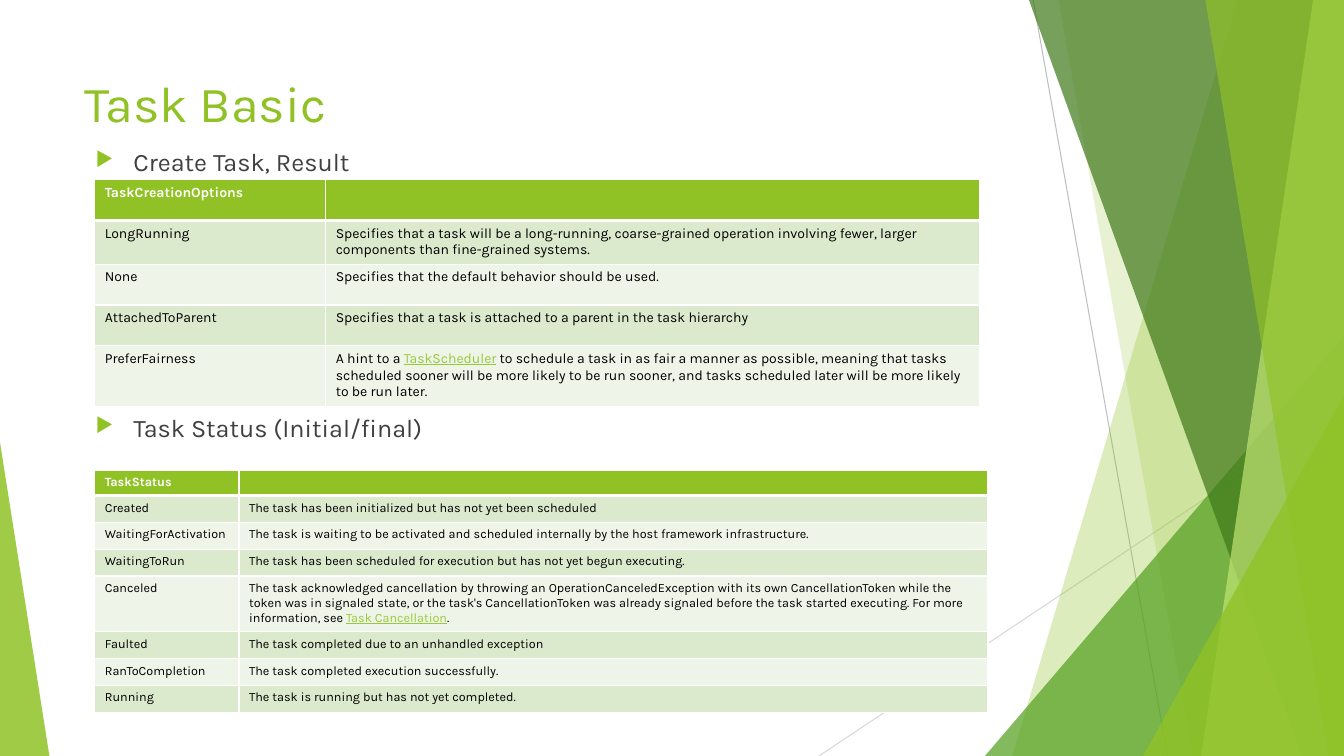
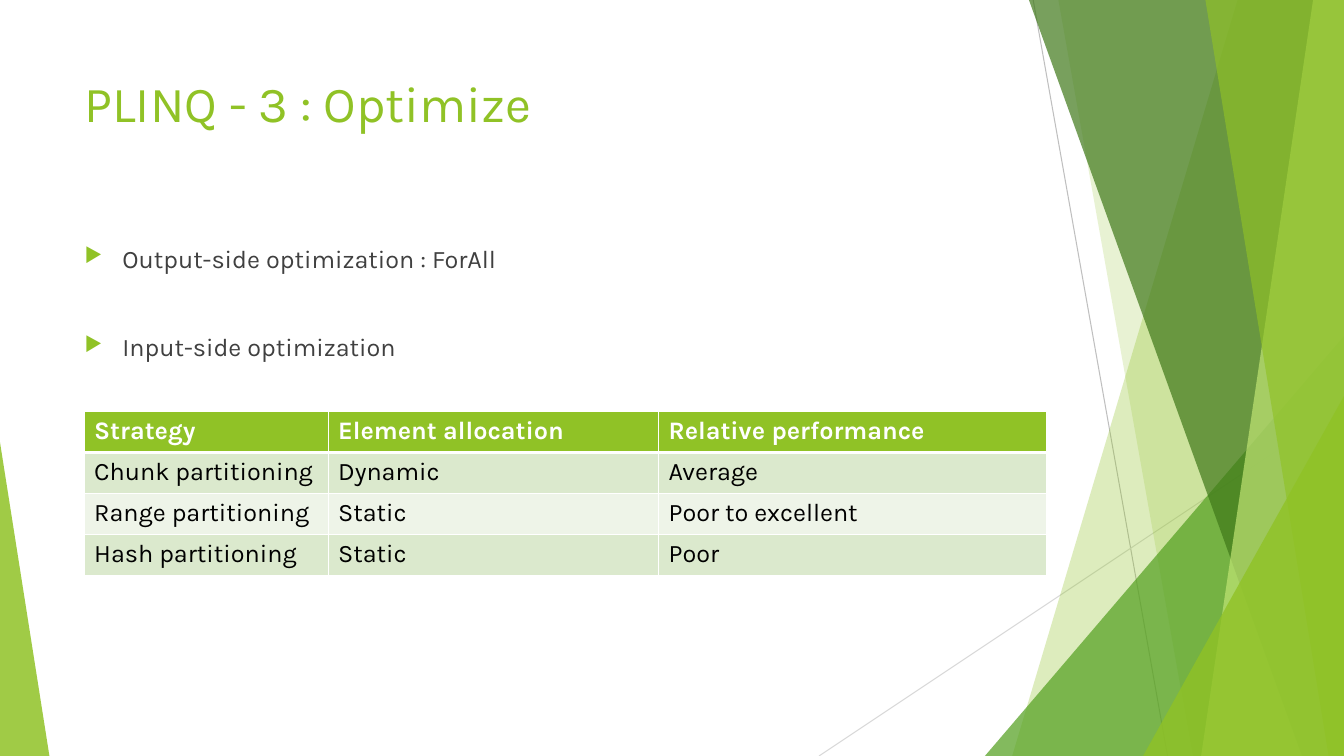
import lxml.etree
import pptx
import pptx.dml.color
import pptx.enum.shapes
import pptx.oxml.ns
import pptx.util

Pt = pptx.util.Pt
qn = pptx.oxml.ns.qn

WIDTH, HEIGHT = 960, 540
FONT = "Karla"
GREEN, WHITE, BLACK, BODY, LINK = "90C226", "FFFFFF", "000000", "404040", "99CA3C"
BANDS = ("DBE9CD", "EEF4E8")

# Backdrop, from back to front
THREADS = [((738, 0), (834, 540), "BFBFBF"), ((960, 290), (585, 540), "D9D9D9")]
# Panels reach the right edge: top left x, bottom left x, colour, opacity
REAR_PANELS = [(884, 723, GREEN, 30), (756, 852, GREEN, 20)]
FRONT_PANELS = [(735, 930, "3F7819", 70), (938, 858, "C0E474", 70),
                (861, 949, GREEN, 65)]
# Corners stand on the bottom edge: left, top, width, apex, colour, opacity
REAR_CORNER = (703.5, 240, 256.5, 1, "54A021", 72)
FRONT_CORNERS = [(816.5, 283, 143.5, 1, GREEN, 80), (0, 316, 35.3, 0, GREEN, 85)]

# Words between bars are shown as links
CREATION_OPTIONS = [
    ("TaskCreationOptions", ""),
    ("LongRunning", "Specifies that a task will be a long-running, coarse-grained "
     "operation involving fewer, larger components than fine-grained systems."),
    ("None", "Specifies that the default behavior should be used."),
    ("AttachedToParent",
     "Specifies that a task is attached to a parent in the task hierarchy"),
    ("PreferFairness", "A hint to a |TaskScheduler| to schedule a task in as fair a "
     "manner as possible, meaning that tasks scheduled sooner will be more likely to "
     "be run sooner, and tasks scheduled later will be more likely to be run later."),
]
TASK_STATUS = [
    ("TaskStatus", ""),
    ("Created", "The task has been initialized but has not yet been scheduled"),
    ("WaitingForActivation", "The task is waiting to be activated and scheduled "
     "internally by the host framework infrastructure."),
    ("WaitingToRun",
     "The task has been scheduled for execution but has not yet begun executing."),
    ("Canceled", "The task acknowledged cancellation by throwing an "
     "OperationCanceledException with its own CancellationToken while the token was in "
     "signaled state, or the task's CancellationToken was already signaled before the "
     "task started executing. For more information, see |Task Cancellation|."),
    ("Faulted", "The task completed due to an unhandled exception"),
    ("RanToCompletion", "The task completed execution successfully."),
    ("Running", "The task is running but has not yet completed."),
]
STRATEGIES = [
    ("Strategy", "Element allocation", "Relative performance"),
    ("Chunk partitioning", "Dynamic", "Average"),
    ("Range partitioning", "Static", "Poor to excellent"),
    ("Hash partitioning", "Static", "Poor"),
]


def rgb(color):
    return pptx.dml.color.RGBColor.from_string(color)


def style(font, size, color, bold=False):
    font.name, font.size, font.bold = FONT, Pt(size), bold
    font.color.rgb = rgb(color)


def add_xml(parent, tag, **attributes):
    return lxml.etree.SubElement(parent, qn(tag), attributes)


# Backdrop
def paint(shape, color, opacity):
    shape.shadow.inherit = False
    shape.line.fill.background()
    shape.fill.solid()
    shape.fill.fore_color.rgb = rgb(color)
    tint = next(shape.element.spPr.iter(qn("a:srgbClr")))
    add_xml(tint, "a:alpha", val=str(opacity * 1000))


def add_thread(slide, start, end, color):
    thread = slide.shapes.add_connector(
        pptx.enum.shapes.MSO_CONNECTOR.STRAIGHT, *map(Pt, start + end))
    thread.line.color.rgb = rgb(color)
    thread.line.width = Pt(0.75)
    add_xml(thread.element.spPr, "a:effectLst")


def add_panel(slide, top_x, bottom_x, color, opacity):
    outline = slide.shapes.build_freeform(Pt(top_x), Pt(0))
    outline.add_line_segments([(Pt(WIDTH), Pt(0)), (Pt(WIDTH), Pt(HEIGHT)),
                               (Pt(bottom_x), Pt(HEIGHT))])
    paint(outline.convert_to_shape(), color, opacity)


def add_corner(slide, left, top, width, apex, color, opacity):
    corner = slide.shapes.add_shape(
        pptx.enum.shapes.MSO_SHAPE.ISOSCELES_TRIANGLE,
        Pt(left), Pt(top), Pt(width), Pt(HEIGHT - top))
    corner.adjustments[0] = apex
    paint(corner, color, opacity)


def add_backdrop(slide):
    for thread in THREADS:
        add_thread(slide, *thread)
    for panel in REAR_PANELS:
        add_panel(slide, *panel)
    add_corner(slide, *REAR_CORNER)
    for panel in FRONT_PANELS:
        add_panel(slide, *panel)
    for corner in FRONT_CORNERS:
        add_corner(slide, *corner)


# Text
def add_frame(slide, left, top, width, height):
    frame = slide.shapes.add_textbox(Pt(left), Pt(top), Pt(width), Pt(height)).text_frame
    frame.word_wrap = True
    return frame


def add_title(slide, words):
    title = add_frame(slide, 53.3, 48, 677, 104).paragraphs[0]
    title.text = words
    style(title.font, 36, GREEN)


def add_bullets(slide, left, top, width, height, points, gap):
    frame = add_frame(slide, left, top, width, height)
    for index, words in enumerate(points):
        point = frame.add_paragraph() if index else frame.paragraphs[0]
        point.text = words
        layout = point._p.get_or_add_pPr()
        layout.set("marL", str(Pt(27)))
        layout.set("indent", str(-Pt(27)))
        add_xml(add_xml(layout, "a:buClr"), "a:srgbClr", val=GREEN)
        add_xml(layout, "a:buSzPct", val="80000")
        add_xml(layout, "a:buChar", char="\u25b6")
        if index:
            point.space_before = Pt(gap)
        style(point.font, 18, BODY)


# Tables
def add_borders(cell, widths):
    properties = cell._tc.get_or_add_tcPr()
    for position, (edge, width) in enumerate(widths.items()):
        border = add_xml(properties, "a:ln" + edge, w=str(Pt(width)))
        add_xml(add_xml(border, "a:solidFill"), "a:srgbClr", val=WHITE)
        properties.insert(position, border)


def fill_cell(cell, words, size, row):
    header = row == 0
    cell.fill.solid()
    cell.fill.fore_color.rgb = rgb(GREEN if header else BANDS[(row - 1) % 2])
    add_borders(cell, {"L": 1, "R": 1, "T": 1, "B": 3} if header
                else {"L": 1, "R": 1, "B": 1})
    entry = cell.text_frame.paragraphs[0]
    style(entry.font, size, WHITE if header else BLACK, header)
    if not words:
        add_xml(entry._p, "a:endParaRPr", sz=str(size * 100))
        return
    for index, part in enumerate(words.split("|")):
        run = entry.add_run()
        run.text = part
        if index % 2:
            run.font.color.rgb = rgb(LINK)
            run.font.underline = True


def add_grid(slide, left, top, columns, heights, rows, size):
    grid = slide.shapes.add_table(len(rows), len(columns), Pt(left), Pt(top),
                                  Pt(sum(columns)), Pt(sum(heights))).table
    for column, width in zip(grid.columns, columns):
        column.width = Pt(width)
    for index, (height, entries) in enumerate(zip(heights, rows)):
        grid.rows[index].height = Pt(height)
        for column, words in enumerate(entries):
            fill_cell(grid.cell(index, column), words, size, index)


def add_slide(deck, title):
    slide = deck.slides.add_slide(deck.slide_layouts[6])
    add_backdrop(slide)
    add_title(slide, title)
    return slide


def main():
    deck = pptx.Presentation()
    deck.slide_width, deck.slide_height = Pt(WIDTH), Pt(HEIGHT)

    basics = add_slide(deck, "Task Basic")
    add_bullets(basics, 61.2, 101, 670, 374,
                ["Create Task, Result", "Task Status (Initial/final)"], 168.5)
    add_grid(basics, 67.7, 335.8, [103, 535], [12.3] + [19.2] * 7, TASK_STATUS, 9)
    add_grid(basics, 67.7, 128.2, [165, 467], [29.2] * 5, CREATION_OPTIONS, 10)

    optimize = add_slide(deck, "PLINQ - 3 : Optimize")
    add_bullets(optimize, 53.3, 170, 428, 105,
                ["Output-side optimization : ForAll", "Input-side optimization"], 41.5)
    add_grid(optimize, 60.1, 294, [174.3, 236, 277], [29.2] * 4, STRATEGIES, 18)

    deck.save("out.pptx")


main()
